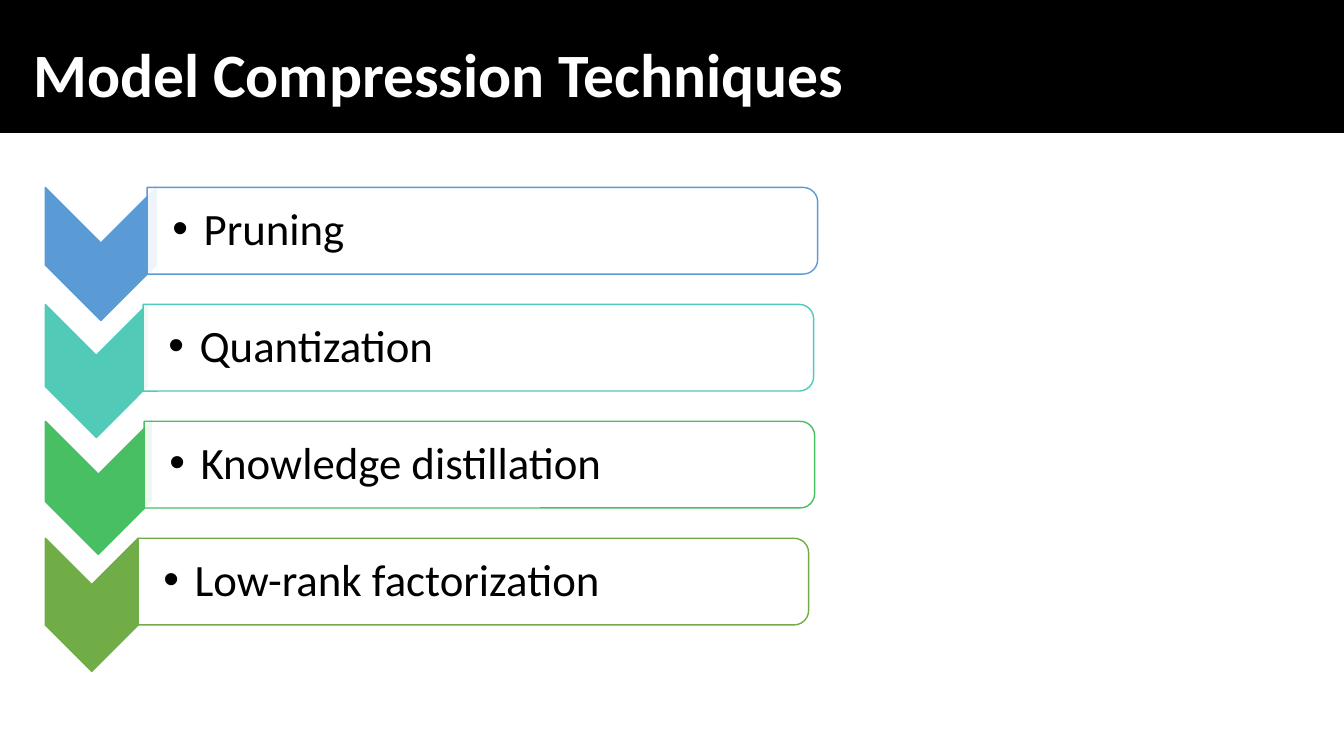
from dataclasses import dataclass

from lxml import etree
from pptx import Presentation
from pptx import util as u
from pptx.dml.color import RGBColor
from pptx.enum import shapes, text
from pptx.oxml.ns import qn


@dataclass(frozen=True)
class Theme:
    font: str = "Calibri"
    title_size: int = 44
    body_size: int = 32
    white: str = "FFFFFF"
    black: str = "000000"


@dataclass(frozen=True)
class Technique:
    label: str
    color: str
    chevron_width: float
    bar_left: float


THEME = Theme()
TECHNIQUES = [
    Technique("Pruning", "5B9BD5", 1.10, 1.46),
    Technique("Quantization", "52CAB8", 1.01, 1.42),
    Technique("Knowledge distillation", "49BF64", 1.05, 1.43),
    Technique("Low-rank factorization", "70AD47", 0.92, 1.37),
]
FIRST_TOP, ROW_PITCH = 1.86, 1.16
CHEVRON_LEFT, CHEVRON_HEIGHT = 0.45, 1.32
BAR_WIDTH, BAR_HEIGHT = 6.65, 0.86
LABEL_WIDTH, LABEL_HEIGHT = 6.61, 0.77
BULLET_INDENT = 0.31


def add_block(slide, kind, left: float, top: float, width: float, height: float,
              fill: str, line: str):
    shape = slide.shapes.add_shape(kind, *map(u.Inches, (left, top, width, height)))
    shape.shadow.inherit = False
    shape.fill.solid()
    shape.fill.fore_color.rgb = RGBColor.from_string(fill)
    shape.line.color.rgb = RGBColor.from_string(line)
    shape.line.width = u.Pt(1)
    return shape


def add_turned_block(slide, kind, left: float, top: float, width: float, height: float,
                     fill: str, line: str):
    """Place a shape turned by 90 degrees so that it covers the given area."""
    shift = (width - height) / 2
    shape = add_block(slide, kind, left + shift, top - shift, height, width, fill, line)
    shape.rotation = 90
    return shape


def style_paragraph(paragraph, size: int, color: str, bold: bool = False) -> None:
    paragraph.alignment = text.PP_ALIGN.LEFT
    paragraph.line_spacing = 0.9
    for run in paragraph.runs:
        run.font.name = THEME.font
        run.font.size = u.Pt(size)
        run.font.bold = bold
        run.font.color.rgb = RGBColor.from_string(color)


def add_bullet(paragraph) -> None:
    properties = paragraph._p.get_or_add_pPr()
    properties.set("marL", str(u.Inches(BULLET_INDENT)))
    properties.set("indent", str(-u.Inches(BULLET_INDENT)))
    etree.SubElement(properties, qn("a:buFont")).set("typeface", "Arial")
    etree.SubElement(properties, qn("a:buChar")).set("char", "•")


def add_header(slide, title: str) -> None:
    band = add_block(slide, shapes.MSO_SHAPE.RECTANGLE, -0.23, -0.05, 13.8, 1.36,
                     THEME.black, THEME.black)
    placeholder = slide.shapes.title
    band._element.addnext(placeholder._element)  # keep the title above the band
    placeholder.left, placeholder.top = u.Inches(0.23), u.Inches(0.49)
    placeholder.width, placeholder.height = u.Inches(12.54), u.Inches(0.66)
    frame = placeholder.text_frame
    frame.text = title
    frame.auto_size = text.MSO_AUTO_SIZE.NONE
    frame.vertical_anchor = text.MSO_ANCHOR.BOTTOM
    style_paragraph(frame.paragraphs[0], THEME.title_size, THEME.white, bold=True)


def add_technique(slide, technique: Technique, top: float) -> None:
    # Chevron pointing down
    add_turned_block(slide, shapes.MSO_SHAPE.CHEVRON, CHEVRON_LEFT, top,
                     technique.chevron_width, CHEVRON_HEIGHT,
                     technique.color, technique.color)

    # Bar rounded on its right side, slightly see-through
    bar = add_turned_block(slide, shapes.MSO_SHAPE.ROUND_2_SAME_RECTANGLE,
                           technique.bar_left, top, BAR_WIDTH, BAR_HEIGHT,
                           THEME.white, technique.color)
    fill_color = bar._element.spPr.find(qn("a:solidFill"))[0]
    etree.SubElement(fill_color, qn("a:alpha")).set("val", "90000")

    # Label
    label_top = top + (BAR_HEIGHT - LABEL_HEIGHT) / 2
    label = slide.shapes.add_textbox(*map(u.Inches, (
        technique.bar_left, label_top, LABEL_WIDTH, LABEL_HEIGHT)))
    frame = label.text_frame
    frame.word_wrap = True
    frame.vertical_anchor = text.MSO_ANCHOR.MIDDLE
    frame.margin_left = u.Inches(0.25)
    frame.margin_top = frame.margin_right = frame.margin_bottom = u.Inches(0.02)
    frame.text = technique.label
    add_bullet(frame.paragraphs[0])
    style_paragraph(frame.paragraphs[0], THEME.body_size, THEME.black)


def main() -> None:
    presentation = Presentation()
    presentation.slide_width = u.Inches(13.33)
    presentation.slide_height = u.Inches(7.5)
    slide = presentation.slides.add_slide(presentation.slide_layouts[5])

    add_header(slide, "Model Compression Techniques")
    for row, technique in enumerate(TECHNIQUES):
        add_technique(slide, technique, FIRST_TOP + row * ROW_PITCH)

    presentation.save("out.pptx")


if __name__ == "__main__":
    main()
